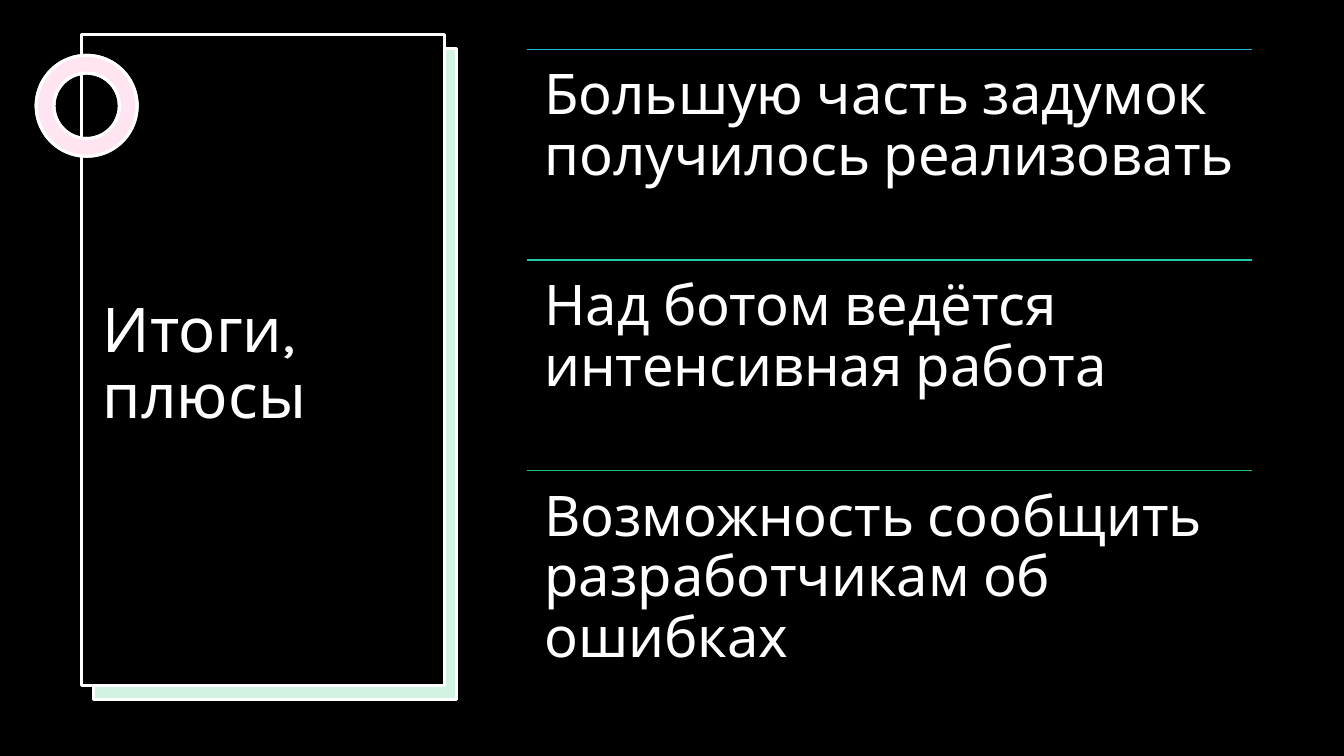
from lxml.etree import SubElement
from pptx import Presentation
from pptx.dml.color import RGBColor
from pptx.enum.shapes import MSO_CONNECTOR, MSO_SHAPE
from pptx.enum.text import MSO_ANCHOR, MSO_AUTO_SIZE, PP_ALIGN
from pptx.oxml.ns import qn
from pptx.util import Inches, Pt


def rgb(value):
    return RGBColor.from_string(value)


class SummarySlide:
    """Holds the style and the current slide, and draws its elements."""

    font = "Karla"
    ink = "FFFFFF"
    paper = "000000"
    outline = 2.25

    def __init__(self, deck):
        self.slide = deck.slides.add_slide(deck.slide_layouts[5])
        self.shapes = self.slide.shapes
        background = self.slide.background.fill
        background.solid()
        background.fore_color.rgb = rgb(self.paper)

    def shape(self, kind, box, color, alpha=None, outlined=True):
        shape = self.shapes.add_shape(kind, *map(Inches, box))
        shape.shadow.inherit = False
        shape.fill.solid()
        shape.fill.fore_color.rgb = rgb(color)
        if alpha is not None:
            srgb = shape._element.spPr.find(f"{qn('a:solidFill')}/{qn('a:srgbClr')}")
            SubElement(srgb, qn("a:alpha"), val=str(alpha * 1000))
        if outlined:
            shape.line.color.rgb = rgb(self.ink)
            shape.line.width = Pt(self.outline)
        else:
            shape.line.fill.background()
        return shape

    def ring(self, box, color, alpha=None):
        ring = self.shape(MSO_SHAPE.DONUT, box, color, alpha)
        ring.adjustments[0] = 0.175

    def rule(self, left, top, width, color):
        rule = self.shapes.add_connector(
            MSO_CONNECTOR.STRAIGHT,
            Inches(left), Inches(top), Inches(left + width), Inches(top))
        rule.line.color.rgb = rgb(color)
        rule.line.width = Pt(1)
        SubElement(rule._element.spPr, qn("a:effectLst"))

    def set_text(self, frame, text, size, anchor):
        frame.word_wrap = True
        frame.auto_size = MSO_AUTO_SIZE.NONE
        frame.vertical_anchor = anchor
        paragraph = frame.paragraphs[0]
        paragraph.alignment = PP_ALIGN.LEFT
        paragraph.line_spacing = 0.9
        run = paragraph.add_run()
        run.text = text
        run.font.name = self.font
        run.font.size = Pt(size)
        run.font.color.rgb = rgb(self.ink)

    def title(self, box, text):
        title = self.shapes.title
        title.left, title.top, title.width, title.height = map(Inches, box)
        self.set_text(title.text_frame, text, 44, MSO_ANCHOR.MIDDLE)
        self.shapes._spTree.append(title._element)

    def point(self, box, text):
        frame = self.shapes.add_textbox(*map(Inches, box)).text_frame
        frame.margin_left = frame.margin_right = Inches(0.17)
        frame.margin_top = frame.margin_bottom = Inches(0.17)
        self.set_text(frame, text, 40, MSO_ANCHOR.TOP)


def main():
    deck = Presentation()
    deck.slide_width, deck.slide_height = Inches(13.33), Inches(7.5)
    summary = SummarySlide(deck)

    card = 3.6, 6.46
    summary.shape(MSO_SHAPE.RECTANGLE, (0.92, 0.49, *card), "FFFFFF", outlined=False)
    summary.shape(MSO_SHAPE.RECTANGLE, (0.93, 0.48, *card), "21C46B", alpha=20)
    summary.shape(MSO_SHAPE.RECTANGLE, (0.81, 0.34, *card), "000000")

    for color, alpha in (("FFFFFF", None), ("FF80BD", 20)):
        summary.ring((0.36, 0.55, 1, 1), color, alpha)

    summary.title((0.92, 1.31, 3.4, 4.63), "Итоги, плюсы")

    left, first_top, width, row_height = 5.23, 0.49, 7.19, 2.09
    points = (
        ("Большую часть задумок получилось реализовать", "1EB9D3"),
        ("Над ботом ведётся интенсивная работа", "20CBA9"),
        ("Возможность сообщить разработчикам об ошибках", "21C46B"),
    )
    for row, (text, color) in enumerate(points):
        top = first_top + row * row_height
        summary.rule(left, top, width, color)
        summary.point((left, top, width, row_height), text)

    deck.save("out.pptx")


if __name__ == "__main__":
    main()
